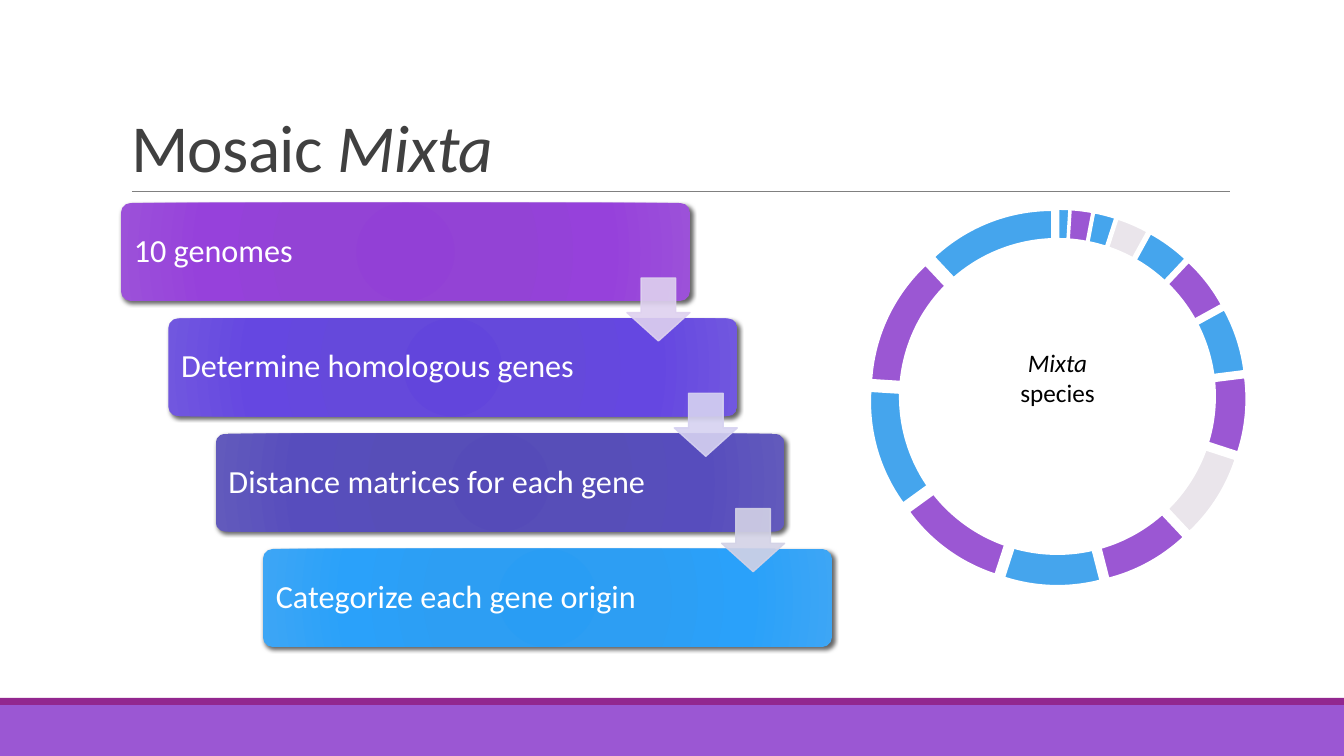
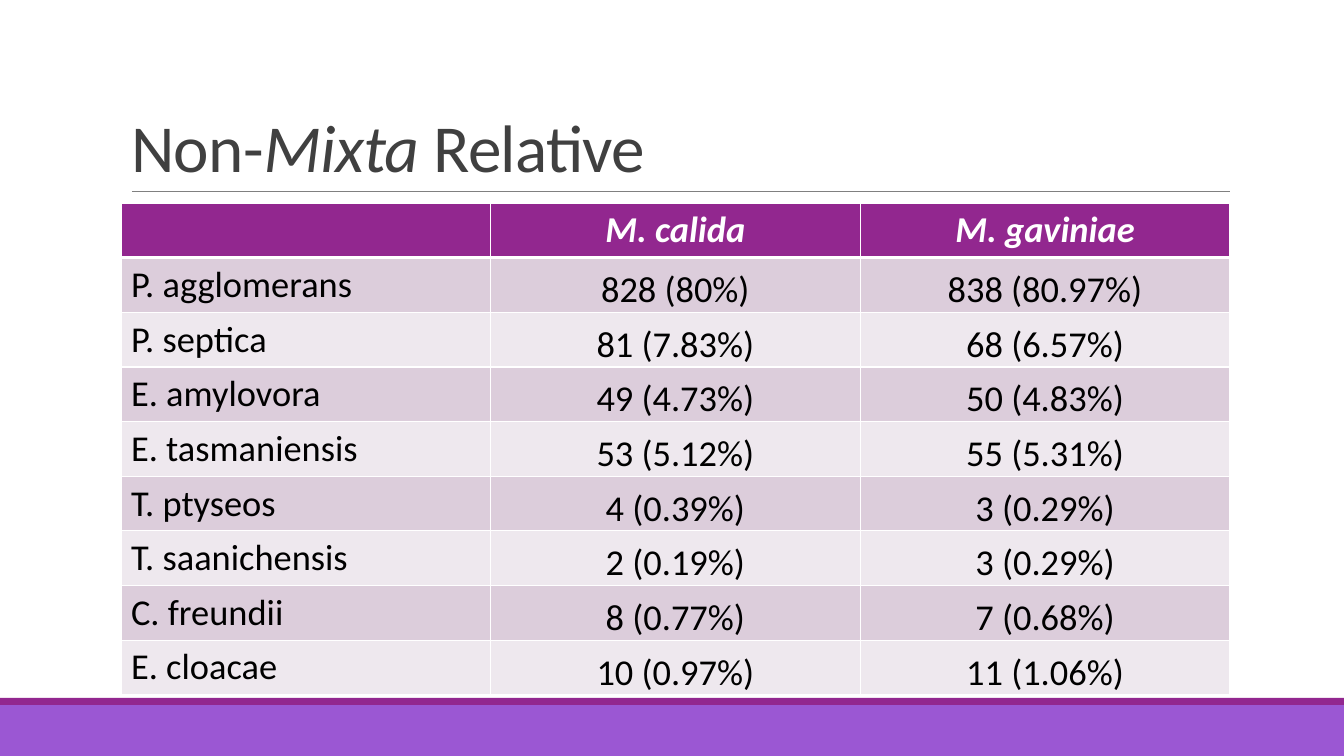
import pptx
import pptx.chart.data
import pptx.dml.color
import pptx.enum.chart
import pptx.enum.shapes
import pptx.enum.text
import pptx.oxml
import pptx.oxml.ns
import pptx.util
from dataclasses import dataclass

# ---- Content (runs are (text, italic) pairs) ----
MOSAIC_TITLE = [("Mosaic ", False), ("Mixta", True)]
RELATIVE_TITLE = [("Non-", False), ("Mixta", True), (" Relative", False)]
RING_LABEL = [("Mixta ", True), ("species", False)]

# step text, gradient colours from centre to edge, colour of the arrow that follows
STEPS = [
    ("10 genomes", ("9240D6", "9343D5", "9641DB", "9C51D9"), "DED1EF"),
    ("Determine homologous genes", ("6245DC", "6549DB", "6547E1", "7157DF"), "D6D2F1"),
    ("Distance matrices for each gene", ("554BB8", "574EB8", "574DBD", "625ABC"), "D3D2E6"),
    ("Categorize each gene origin", ("299DF4", "2D9EF3", "2AA1FA", "3DA6F5"), None),
]
GRADIENT_STOPS = (0, 34, 70, 100)

BLUE, PURPLE, GREY = "45A5ED", "9B57D3", "EAE5EB"
RING_SERIES = [
    ("Series 1", (1, 2, 2, 3, 4, 5, 6, 7, 8, 8, 9, 10, 11, 12, 12),
     (BLUE, PURPLE, BLUE, GREY, BLUE, PURPLE, BLUE, PURPLE, GREY, PURPLE,
      BLUE, PURPLE, BLUE, PURPLE, BLUE)),
    ("Series 2", (2, 5, 10, 3, 5, 7, 15, 12, 3, 5, 9, 5, 6, 3, 10),
     ("92278F", PURPLE, "755DD9", "665EB8", BLUE, "5982DB", "581756", "5E258E",
      "3A2397", "393374", "1067A7", "214698", "C535C1", "AF79DC", "917DE1")),
]
RING_EXPLOSION = 9

RELATIVES = [
    ("", "M. calida", "M. gaviniae"),
    ("P. agglomerans", "828 (80%)", "838 (80.97%)"),
    ("P. septica", "81 (7.83%)", "68 (6.57%)"),
    ("E. amylovora", "49 (4.73%)", "50 (4.83%)"),
    ("E. tasmaniensis", "53 (5.12%)", "55 (5.31%)"),
    ("T. ptyseos", "4 (0.39%)", "3 (0.29%)"),
    ("T. saanichensis", "2 (0.19%)", "3 (0.29%)"),
    ("C. freundii", "8 (0.77%)", "7 (0.68%)"),
    ("E. cloacae", "10 (0.97%)", "11 (1.06%)"),
]


@dataclass(frozen=True)
class Theme:
    font: str = "Calibri"
    title: str = "404040"
    rule: str = "808080"
    footer: str = PURPLE
    accent: str = "92278F"
    odd_row: str = "DCCDDB"
    even_row: str = "EEE8EE"
    white: str = "FFFFFF"
    black: str = "000000"
    title_pt: int = 48
    step_pt: int = 23
    label_pt: int = 18
    table_pt: int = 26
    chart_pt: int = 10


THEME = Theme()

# ---- Geometry in px ----
EMU_PER_PX = 914400 / 100.8
SLIDE_SIZE = (1344, 756)
TITLE_BOX = (121, 31, 1109, 160)
TITLE_RULE = (132, 191, 1230, 191)
FOOTER_BAND = (0, 705, 1344, 51)
FOOTER_STRIPE = (0, 698, 1344, 7)
FIRST_STEP, LAST_STEP = (121, 203), (263, 549)
STEP_SIZE = (569, 98)
STEP_INSET = 10
ARROW_SIZE, ARROW_DROP = 63, 75
RING_BOX = (840, 195, 436, 405)
RING_HOLE = (899, 238, 317, 317)
RING_LABEL_BOX = (998, 342, 119, 72)
TABLE_BOX = (121, 203, 1109, 486)

SHAPES = pptx.enum.shapes.MSO_SHAPE
ANCHOR = pptx.enum.text.MSO_ANCHOR
ALIGN = pptx.enum.text.PP_ALIGN


def px(*lengths):
    return [pptx.util.Emu(round(length * EMU_PER_PX)) for length in lengths]


def rgb(colour):
    return pptx.dml.color.RGBColor.from_string(colour)


def xml(tag, inner="", attributes=""):
    """Parse one DrawingML element."""
    return pptx.oxml.parse_xml(
        f'<a:{tag} {pptx.oxml.ns.nsdecls("a")} {attributes}>{inner}</a:{tag}>')


def solid(colour):
    return f'<a:solidFill><a:srgbClr val="{colour}"/></a:solidFill>'


def paint(fill, colour):
    fill.solid()
    fill.fore_color.rgb = rgb(colour)


def draw_line(line, colour, width):
    line.color.rgb = rgb(colour)
    line.width = pptx.util.Pt(width)


def add_shape(slide, kind, box, colour):
    shape = slide.shapes.add_shape(kind, *px(*box))
    shape.shadow.inherit = False
    shape.line.fill.background()
    paint(shape.fill, colour)
    return shape


def style(font, size, colour, bold=None, italic=None):
    font.name, font.size = THEME.font, pptx.util.Pt(size)
    font.color.rgb = rgb(colour)
    font.bold, font.italic = bold, italic


def add_runs(paragraph, runs):
    for text, italic in runs:
        run = paragraph.add_run()
        run.text = text
        run.font.italic = italic


def style_title(layout):
    title = layout.placeholders[0]
    title.left, title.top, title.width, title.height = px(*TITLE_BOX)
    title.text_frame.vertical_anchor = ANCHOR.BOTTOM
    title._element.txBody.find(pptx.oxml.ns.qn("a:lstStyle")).append(xml(
        "lvl1pPr",
        '<a:lnSpc><a:spcPct val="85000"/></a:lnSpc>'
        f'<a:defRPr sz="{THEME.title_pt * 100}" spc="-50">{solid(THEME.title)}'
        f'<a:latin typeface="{THEME.font}"/></a:defRPr>',
        'algn="l"'))


def add_layout_decor(layout, slide):
    """Draw the bands and title rule on a slide, then move them to its layout."""
    band = add_shape(slide, SHAPES.RECTANGLE, FOOTER_BAND, THEME.footer)
    stripe = add_shape(slide, SHAPES.RECTANGLE, FOOTER_STRIPE, THEME.accent)
    rule = slide.shapes.add_connector(
        pptx.enum.shapes.MSO_CONNECTOR.STRAIGHT, *px(*TITLE_RULE))
    draw_line(rule.line, THEME.rule, 0.5)
    rule._element.spPr.append(xml("effectLst"))
    for index, decor in enumerate((band, stripe, rule)):
        decor._element._nvXxPr.cNvPr.id = 100 + index
        layout.shapes._spTree.insert(2 + index, decor._element)


def add_slide(deck, layout, title_runs):
    slide = deck.slides.add_slide(layout)
    add_runs(slide.shapes.title.text_frame.paragraphs[0], title_runs)
    return slide


def add_step(slide, position, text, colours):
    bar = add_shape(slide, SHAPES.ROUNDED_RECTANGLE, (*position, *STEP_SIZE), colours[0])
    bar.adjustments[0] = 0.1
    stops = "".join(
        f'<a:gs pos="{stop * 1000}"><a:srgbClr val="{colour}"/></a:gs>'
        for stop, colour in zip(GRADIENT_STOPS, colours))
    properties = bar._element.spPr
    flat_fill = properties.find(pptx.oxml.ns.qn("a:solidFill"))
    properties.replace(flat_fill, xml(
        "gradFill",
        f'<a:gsLst>{stops}</a:gsLst><a:path path="circle">'
        '<a:fillToRect l="100000" t="100000" r="100000" b="100000"/></a:path>',
        'rotWithShape="1"'))
    properties.find(pptx.oxml.ns.qn("a:effectLst")).append(xml(
        "outerShdw",
        '<a:srgbClr val="000000"><a:alpha val="60000"/></a:srgbClr>',
        'blurRad="38100" dist="25400" dir="2700000" algn="ctr" rotWithShape="0"'))
    frame = bar.text_frame
    frame.text = text
    frame.word_wrap = True
    frame.vertical_anchor = ANCHOR.MIDDLE
    frame.margin_left, frame.margin_right = px(STEP_INSET, STEP_INSET)
    paragraph = frame.paragraphs[0]
    paragraph.alignment, paragraph.line_spacing = ALIGN.LEFT, 0.9
    style(paragraph.runs[0].font, THEME.step_pt, THEME.white)


def add_arrow(slide, position, colour):
    """Place an arrow flush with the right side of the step at position."""
    left, top = position
    box = (left + STEP_SIZE[0] - ARROW_SIZE, top + ARROW_DROP, ARROW_SIZE, ARROW_SIZE)
    arrow = add_shape(slide, SHAPES.DOWN_ARROW, box, colour)
    arrow.adjustments[0], arrow.adjustments[1] = 0.55, 0.45
    draw_line(arrow.line, colour, 1)
    for tint in arrow._element.spPr.iter(pptx.oxml.ns.qn("a:srgbClr")):
        tint.append(xml("alpha", attributes='val="90000"'))


def add_staircase(slide):
    last = len(STEPS) - 1
    positions = [
        [start + (end - start) * index / last for start, end in zip(FIRST_STEP, LAST_STEP)]
        for index in range(len(STEPS))]
    for position, (text, colours, _) in zip(positions, STEPS):
        add_step(slide, position, text, colours)
    for position, (_, _, arrow_colour) in zip(positions, STEPS):
        if arrow_colour:
            add_arrow(slide, position, arrow_colour)


def add_ring(slide):
    """Draw an exploded pie whose centre is covered by a labelled white disc."""
    data = pptx.chart.data.CategoryChartData()
    data.categories = [str(number + 1) for number in range(len(RING_SERIES[0][1]))]
    for name, values, _ in RING_SERIES:
        data.add_series(name, values)
    chart = slide.shapes.add_chart(
        pptx.enum.chart.XL_CHART_TYPE.PIE, *px(*RING_BOX), data).chart
    chart.replace_data(data)  # a new pie holds one series; this adds the second
    chart.has_title = chart.has_legend = False
    style(chart.font, THEME.chart_pt, THEME.black)
    chart.plots[0].vary_by_categories = True
    for series, (_, _, colours) in zip(chart.plots[0].series, RING_SERIES):
        for index, colour in enumerate(colours):
            slice_format = series.points[index].format
            paint(slice_format.fill, colour)
            draw_line(slice_format.line, THEME.white, 1.5)
    first_series = chart.plots[0].series[0]._element
    first_series.find(pptx.oxml.ns.qn("c:dPt")).addprevious(pptx.oxml.parse_xml(
        f'<c:explosion {pptx.oxml.ns.nsdecls("c")} val="{RING_EXPLOSION}"/>'))

    add_shape(slide, SHAPES.FLOWCHART_CONNECTOR, RING_HOLE, THEME.white)
    frame = slide.shapes.add_textbox(*px(*RING_LABEL_BOX)).text_frame
    frame.word_wrap = True
    frame.auto_size = pptx.enum.text.MSO_AUTO_SIZE.SHAPE_TO_FIT_TEXT
    label = frame.paragraphs[0]
    label.alignment = ALIGN.CENTER
    add_runs(label, RING_LABEL)
    for run in label.runs:
        style(run.font, THEME.label_pt, THEME.black, italic=run.font.italic)


def set_borders(cell, top, bottom):
    """Give a cell white borders; top and bottom are widths in points."""
    for side, width in (("L", 1), ("R", 1), ("T", top), ("B", bottom)):
        cell._tc.get_or_add_tcPr().append(
            xml(f"ln{side}", solid(THEME.white), f'w="{width * 12700}"'))


def add_relatives_table(slide):
    table = slide.shapes.add_table(
        len(RELATIVES), len(RELATIVES[0]), *px(*TABLE_BOX)).table
    for row, texts in enumerate(RELATIVES):
        header = row == 0
        row_fill = THEME.accent if header else (THEME.even_row, THEME.odd_row)[row % 2]
        text_colour = THEME.white if header else THEME.black
        for column, text in enumerate(texts):
            cell = table.cell(row, column)
            set_borders(cell, top=3 if row == 1 else 1, bottom=3 if header else 1)
            paint(cell.fill, row_fill)
            cell.text = text
            paragraph = cell.text_frame.paragraphs[0]
            style(paragraph.font, THEME.table_pt, text_colour)
            for run in paragraph.runs:
                style(run.font, THEME.table_pt, text_colour, header, header)
            if column:
                paragraph.alignment = ALIGN.CENTER
            if column and not header:
                cell.vertical_anchor = ANCHOR.BOTTOM
                (cell.margin_left, cell.margin_top,
                 cell.margin_right, cell.margin_bottom) = px(1, 1, 1, 0)


def main():
    deck = pptx.Presentation()
    deck.slide_width, deck.slide_height = px(*SLIDE_SIZE)
    layout = deck.slide_layouts[5]
    style_title(layout)
    mosaic = add_slide(deck, layout, MOSAIC_TITLE)
    add_layout_decor(layout, mosaic)
    add_staircase(mosaic)
    add_ring(mosaic)
    add_relatives_table(add_slide(deck, layout, RELATIVE_TITLE))
    deck.save("out.pptx")


if __name__ == "__main__":
    main()
